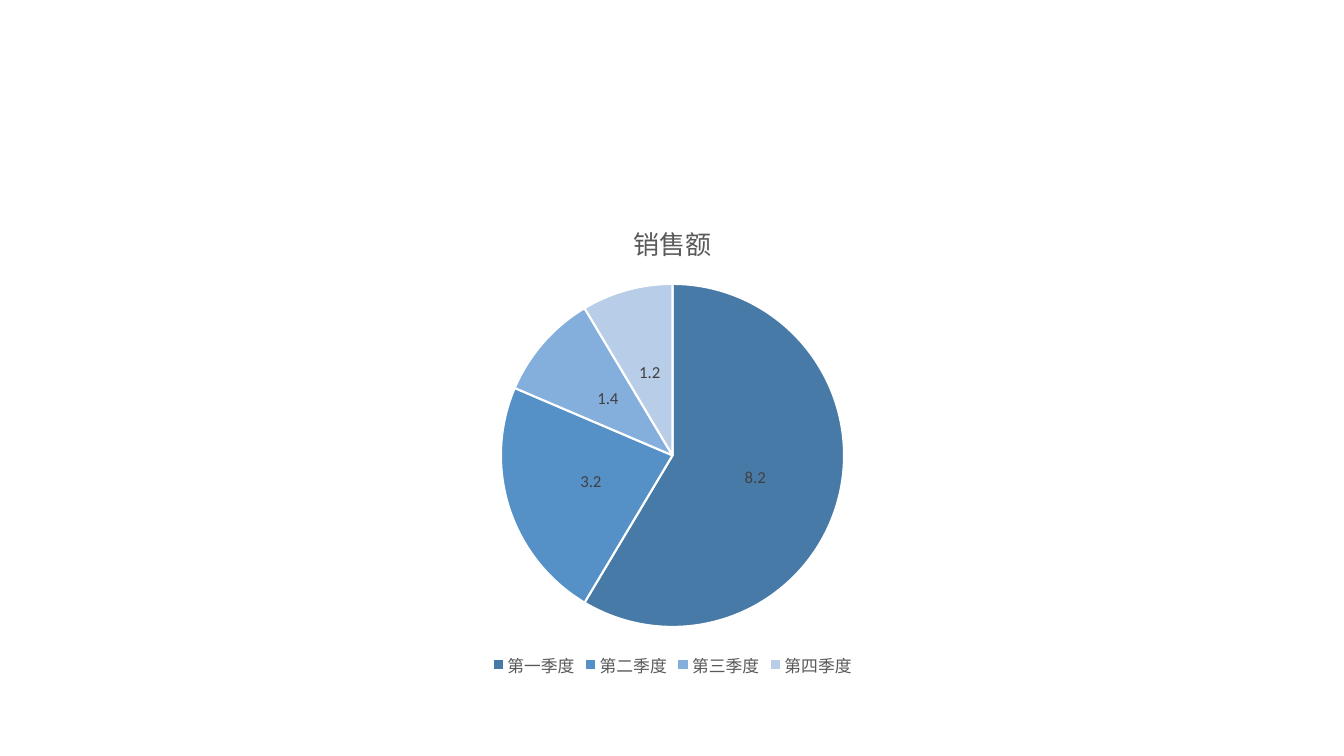
from pptx import Presentation
from pptx import util as u
from pptx.chart import data as cd
from pptx.dml import color as dc
from pptx.enum import chart as ce

FACE = "Calibri"
GREY = "595959"
SALES = [
    ("第一季度", 8.2, "487AA8"),
    ("第二季度", 3.2, "5591C7"),
    ("第三季度", 1.4, "84AEDC"),
    ("第四季度", 1.2, "B8CDE8"),
]


def rgb(code):
    return dc.RGBColor.from_string(code)


def style(font, size, code):
    font.name = FACE
    font.size = u.Pt(size)
    font.bold = False
    font.color.rgb = rgb(code)


def add_pie(slide, name, rows, left, top, width, height):
    # Chart and values
    data = cd.CategoryChartData()
    data.categories = [row[0] for row in rows]
    data.add_series(name, [row[1] for row in rows])
    frame = slide.shapes.add_chart(
        ce.XL_CHART_TYPE.PIE, u.Inches(left), u.Inches(top),
        u.Inches(width), u.Inches(height), data)
    chart = frame.chart
    style(chart.font, 10, "000000")

    # Title
    chart.has_title = True
    run = chart.chart_title.text_frame.paragraphs[0].add_run()
    run.text = name
    style(run.font, 18.6, GREY)
    chart.chart_title.include_in_layout = False

    # Legend
    chart.has_legend = True
    legend = chart.legend
    legend.position = ce.XL_LEGEND_POSITION.BOTTOM
    legend.include_in_layout = False
    style(legend.font, 12, GREY)

    # Slices
    plot = chart.plots[0]
    plot.vary_by_categories = True
    pie = plot.series[0]
    for i, (_, _, code) in enumerate(rows):
        form = pie.points[i].format
        form.fill.solid()
        form.fill.fore_color.rgb = rgb(code)
        form.line.color.rgb = rgb("FFFFFF")
        form.line.width = u.Pt(1.5)

    # Value labels
    labels = pie.data_labels
    labels.show_value = True
    labels.position = ce.XL_LABEL_POSITION.CENTER
    style(labels.font, 12, "404040")


def main():
    deck = Presentation()
    deck.slide_width = u.Inches(13.33)
    deck.slide_height = u.Inches(7.5)
    slide = deck.slides.add_slide(deck.slide_layouts[6])
    add_pie(slide, "销售额", SALES, 0.92, 2, 11.5, 4.76)
    deck.save("out.pptx")


if __name__ == "__main__":
    main()
